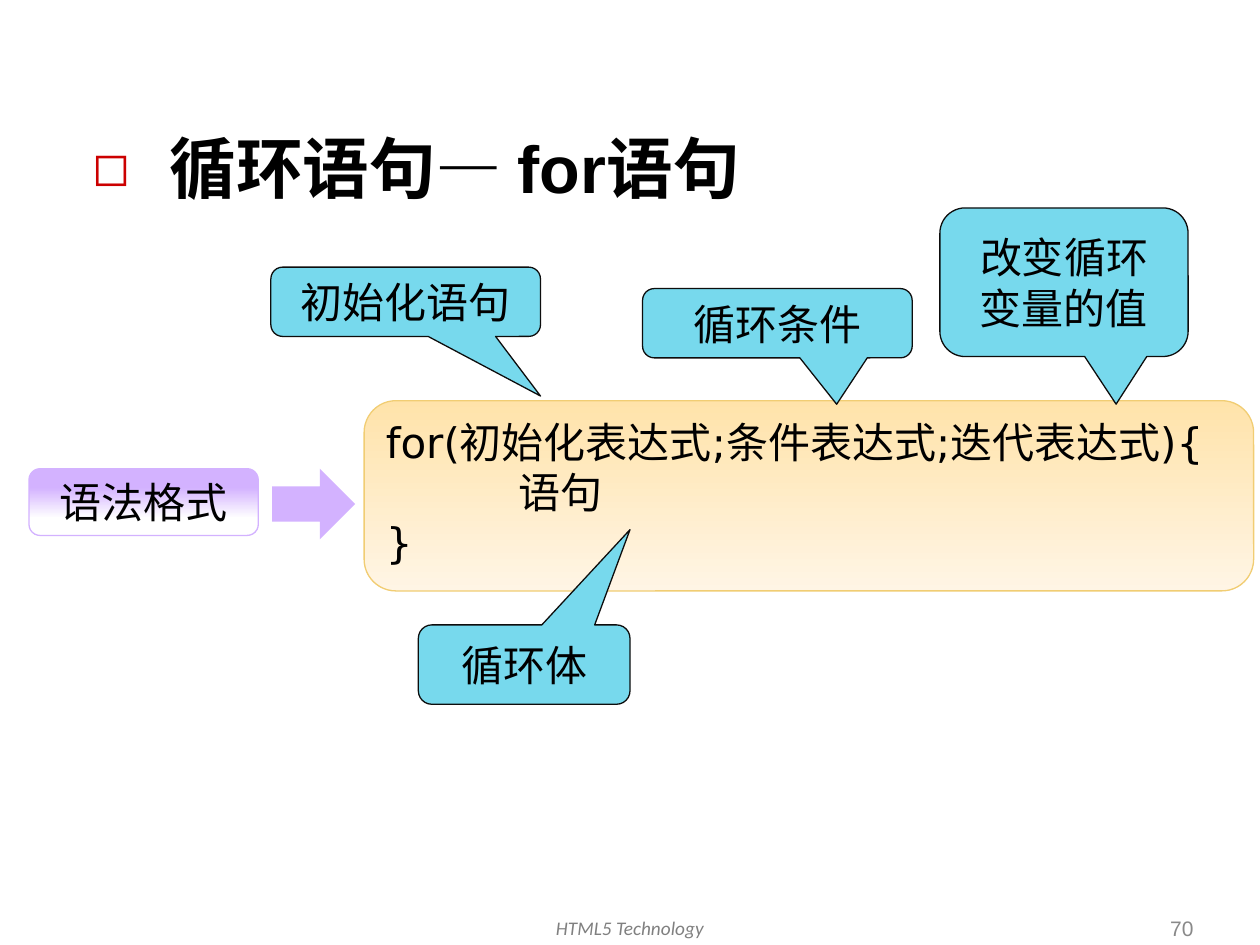
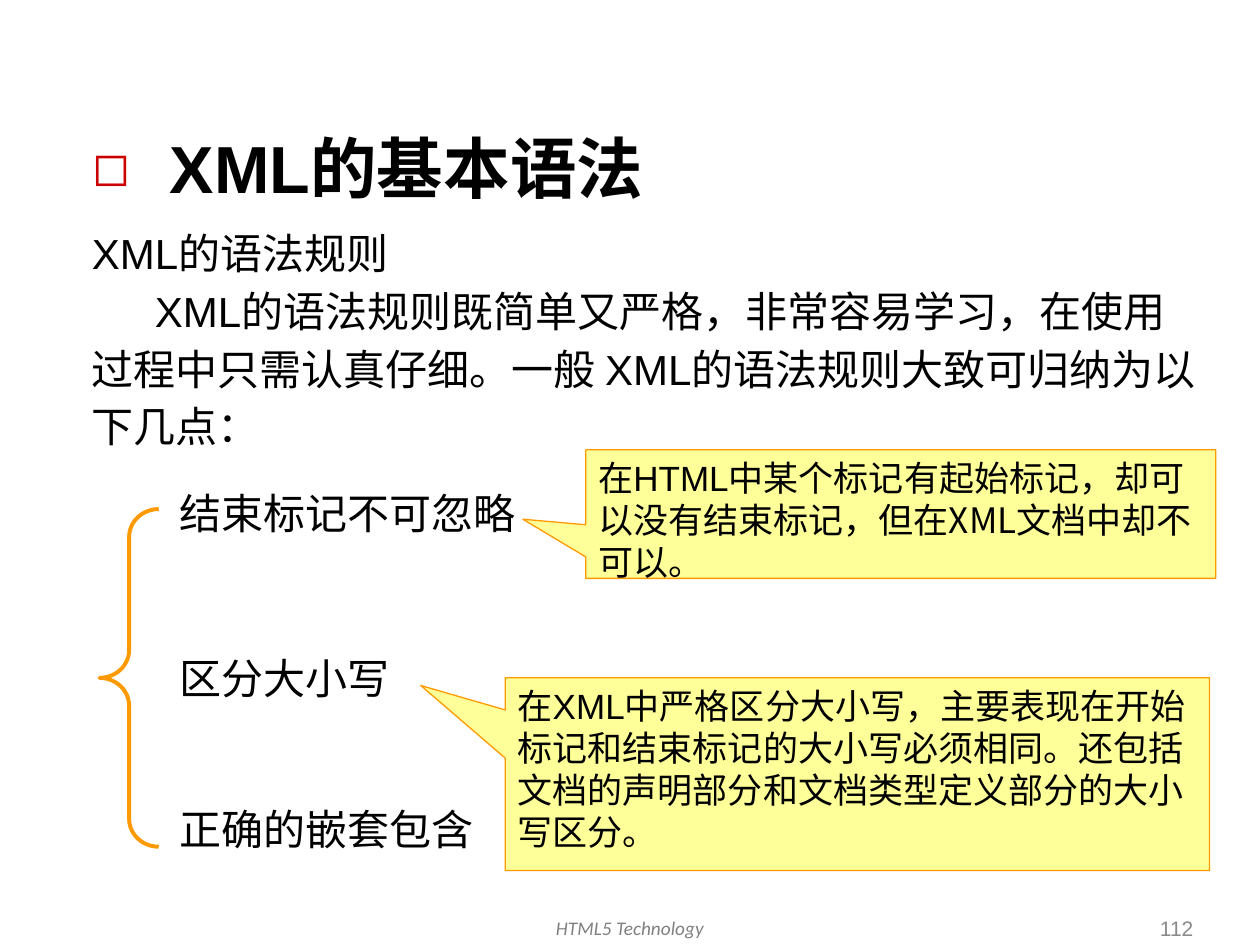
import pptx
import pptx.util
import pptx.dml.color
import pptx.enum.shapes
import pptx.enum.text
import pptx.oxml
import pptx.oxml.ns
from lxml import etree

RGBColor = pptx.dml.color.RGBColor
Pt = pptx.util.Pt
Shape = pptx.enum.shapes.MSO_SHAPE
Align = pptx.enum.text.PP_ALIGN
Anchor = pptx.enum.text.MSO_ANCHOR

BLACK = RGBColor(0x00, 0x00, 0x00)
FOOTER_GRAY = RGBColor(0x80, 0x80, 0x80)
NUMBER_GRAY = RGBColor(0x89, 0x89, 0x89)
WHITE = RGBColor(0xFF, 0xFF, 0xFF)
RED = RGBColor(0xCC, 0x00, 0x00)
LILAC = RGBColor(0xD3, 0xB2, 0xFF)
SAND = RGBColor(0xFF, 0xE3, 0xAA)
CREAM = RGBColor(0xFF, 0xF5, 0xE5)
GOLD = RGBColor(0xF1, 0xCD, 0x73)
CYAN = RGBColor(0x77, 0xD9, 0xED)
INK = RGBColor(0x0D, 0x0D, 0x0D)
YELLOW = RGBColor(0xFF, 0xFF, 0x99)
ORANGE = RGBColor(0xFF, 0x99, 0x00)

ARIAL, CALIBRI, DEJAVU, NOTO = "Arial", "Calibri", "DejaVu Sans", "Noto Sans CJK SC"
COLUMNS, ROWS = 100, 75


class Deck:
    def __init__(self):
        self.presentation = pptx.Presentation()
        self.presentation.slide_width = pptx.util.Inches(10)
        self.presentation.slide_height = pptx.util.Inches(7.5)
        self.column = self.presentation.slide_width // COLUMNS
        self.row = self.presentation.slide_height // ROWS
        self.slide = None

    def place(self, left, top, width, height):
        """Turn columns and rows into slide lengths."""
        return (round(left * self.column), round(top * self.row),
                round(width * self.column), round(height * self.row))

    def start_slide(self, title, number):
        layout = self.presentation.slide_layouts[6]
        self.slide = self.presentation.slides.add_slide(layout)
        self.title(title)
        self.text((32.2, 72.2, 35.6, 3.3), ["HTML5 Technology"], size=11, font=CALIBRI,
                  color=FOOTER_GRAY, align=Align.CENTER, italic=True)
        self.text((73.2, 72.2, 22.5, 2.9), [str(number)], size=12, color=NUMBER_GRAY,
                  align=Align.RIGHT, anchor=Anchor.MIDDLE)

    def title(self, text):
        box = self.text((6.3, 9.2, 87.5, 7.3), [text], size=38, bold=True)
        box.text_frame.margin_top = Pt(6.5)
        properties = box.text_frame.paragraphs[0]._p.get_or_add_pPr()
        hanging = round(6.2 * self.column)
        properties.set("marL", str(hanging))
        properties.set("indent", str(-hanging))
        bullet = pptx.oxml.parse_xml(
            f'<a:bullet {pptx.oxml.ns.nsdecls("a")}>'
            f'<a:buClr><a:srgbClr val="{RED}"/></a:buClr><a:buSzPct val="70000"/>'
            f'<a:buFont typeface="{DEJAVU}"/><a:buChar char="◻"/></a:bullet>')
        properties.extend(list(bullet))

    def text(self, area, paragraphs, **style):
        box = self.slide.shapes.add_textbox(*self.place(*area))
        self.add_text(box, paragraphs, **style)
        return box

    def add_text(self, shape, paragraphs, size=24, font=ARIAL, color=BLACK, align=Align.LEFT,
                 anchor=Anchor.TOP, spacing=None, bold=False, italic=False):
        """Fill a shape; a paragraph is a string or a list of (text, font) runs."""
        frame = shape.text_frame
        frame.word_wrap = True
        frame.vertical_anchor = anchor
        for index, content in enumerate(paragraphs):
            paragraph = frame.add_paragraph() if index else frame.paragraphs[0]
            paragraph.alignment = align
            paragraph.line_spacing = Pt(spacing or 1.2 * size)
            runs = [(content, font)] if isinstance(content, str) else content
            for text, typeface in runs:
                run = paragraph.add_run()
                run.text = text
                run.font.name = typeface
                run.font.size = Pt(size)
                run.font.bold = bold
                run.font.italic = italic
                run.font.color.rgb = color
                etree.SubElement(run.font._element, pptx.oxml.ns.qn("a:ea"), typeface=NOTO)

    def indent(self, shape, index, columns, first_line=False):
        properties = shape.text_frame.paragraphs[index]._p.get_or_add_pPr()
        properties.set("indent" if first_line else "marL", str(round(columns * self.column)))

    def shape(self, kind, area, fill=None, line=None, line_width=0.75, adjustments=()):
        """Draw a preset; fill is a colour, a list of two (position, colour) stops or None."""
        shape = self.slide.shapes.add_shape(kind, *self.place(*area))
        shape.shadow.inherit = False
        for index, value in enumerate(adjustments):
            shape.adjustments[index] = value
        if fill is None:
            shape.fill.background()
        elif isinstance(fill, list):
            shape.fill.gradient()
            shape.fill.gradient_angle = 270
            for stop, (position, color) in zip(shape.fill.gradient_stops, fill):
                stop.position = position
                stop.color.rgb = color
        else:
            shape.fill.solid()
            shape.fill.fore_color.rgb = fill
        if line is None:
            shape.line.fill.background()
        else:
            shape.line.color.rgb = line
            shape.line.width = Pt(line_width)
        return shape

    def bubble(self, area, pointer, text):
        shape = self.shape(Shape.ROUNDED_RECTANGULAR_CALLOUT, area, CYAN, INK,
                           adjustments=(*pointer, 0.17))
        self.add_text(shape, [text], font=DEJAVU, align=Align.CENTER, anchor=Anchor.MIDDLE)

    def note(self, area, pointer, runs):
        shape = self.shape(Shape.RECTANGULAR_CALLOUT, area, YELLOW, ORANGE, adjustments=pointer)
        self.add_text(shape, [runs], size=20)


def build_for_statement(deck):
    deck.start_slide("循环语句— for语句", 70)

    label = deck.shape(Shape.ROUNDED_RECTANGLE, (2.3, 37.2, 18.2, 5.3),
                       [(0.28, LILAC), (0.74, WHITE)], LILAC)
    deck.add_text(label, ["语法格式"], font=DEJAVU, align=Align.CENTER, anchor=Anchor.MIDDLE)

    syntax = deck.shape(Shape.ROUNDED_RECTANGLE, (28.9, 31.8, 70.6, 15.1),
                        [(0, SAND), (1, CREAM)], GOLD)
    deck.add_text(syntax, ["for(初始化表达式;条件表达式;迭代表达式){", "语句", "}"], font=DEJAVU)
    deck.indent(syntax, 1, 10.5)

    arrow = deck.shape(Shape.DOWN_ARROW, (22.1, 36.7, 5.6, 6.6), LILAC)
    arrow.rotation = 270

    for area, pointer, text in (
        ((51, 22.9, 21.4, 5.5), (0.22, 1.17), "循环条件"),
        ((33.2, 49.6, 16.8, 6.3), (0.5, -1.7), "循环体"),
        ((21.5, 21.2, 21.4, 5.5), (0.5, 1.36), "初始化语句"),
        ((74.6, 16.5, 19.7, 11.8), (0.21, 0.82), "改变循环变量的值"),
    ):
        deck.bubble(area, pointer, text)


def build_xml_syntax(deck):
    deck.start_slide("XML的基本语法", 112)

    body = deck.text((6.3, 17.1, 89.8, 19.1), [
        "XML的语法规则",
        "XML的语法规则既简单又严格，非常容易学习，在使用过程中只需认真仔细。"
        "一般 XML的语法规则大致可归纳为以下几点：",
    ], spacing=33, anchor=Anchor.MIDDLE)
    deck.indent(body, 1, 5, first_line=True)

    deck.shape(Shape.LEFT_BRACE, (7.9, 40.4, 4.7, 26.8), line=ORANGE, line_width=2.25,
               adjustments=(0.47, 0.5))
    for top, width, rule in ((38.2, 30.6, "结束标记不可忽略"),
                             (51.3, 20.5, "区分大小写"),
                             (63.3, 27.2, "正确的嵌套包含")):
        deck.text((13.3, top, width, 5.1), [rule], font=NOTO)

    deck.note((46.5, 35.7, 50, 10.2), (-0.6, 0.04), [
        ("在HTML中某个标记有起始标记，却可以没有结束标记，但在", ARIAL),
        ("XML文档中却不可以。", NOTO),
    ])
    deck.note((40.1, 53.8, 55.9, 15.3), (-0.62, -0.46), [
        ("在XML中严格区分大小写，主要表现在开始标记和结束标记的大小写必须相同。"
         "还包括文档的声明部分和文档类型定义部分的大小写区分。", ARIAL),
    ])


def main():
    deck = Deck()
    build_for_statement(deck)
    build_xml_syntax(deck)
    deck.presentation.save("out.pptx")


if __name__ == "__main__":
    main()
